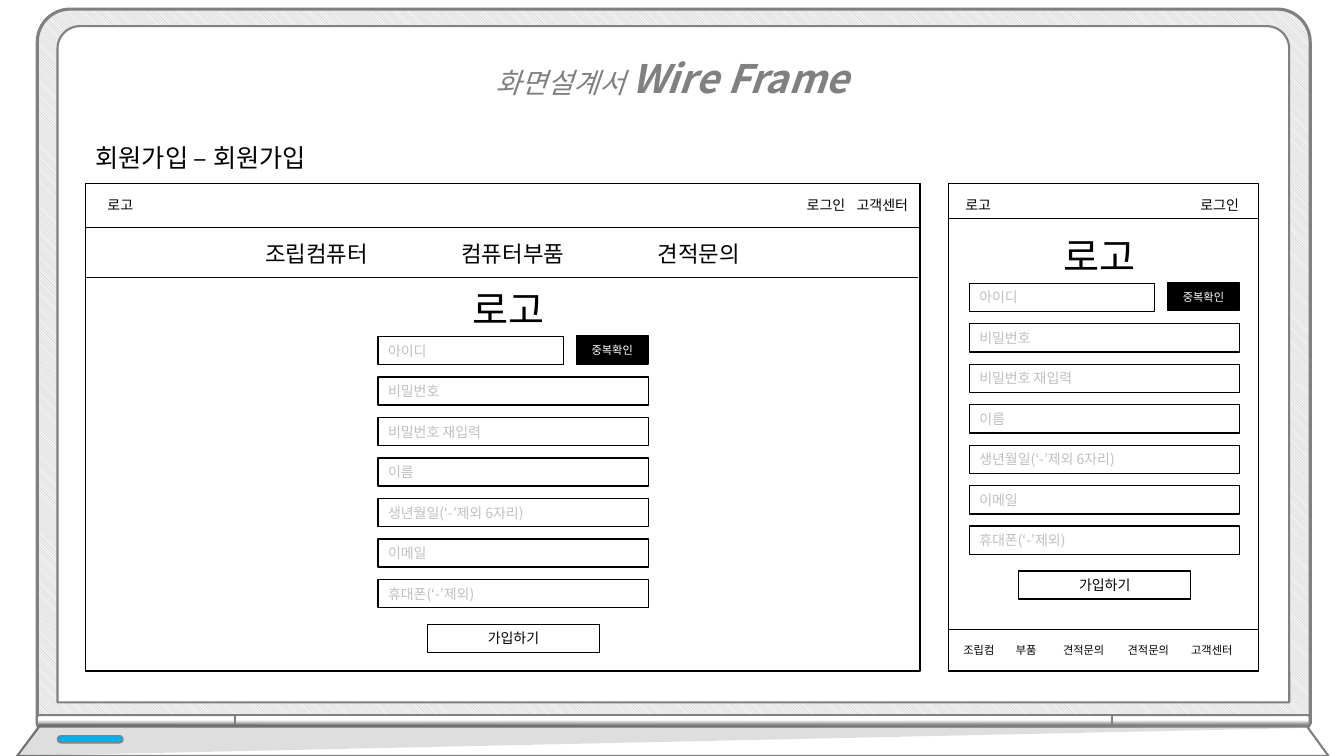
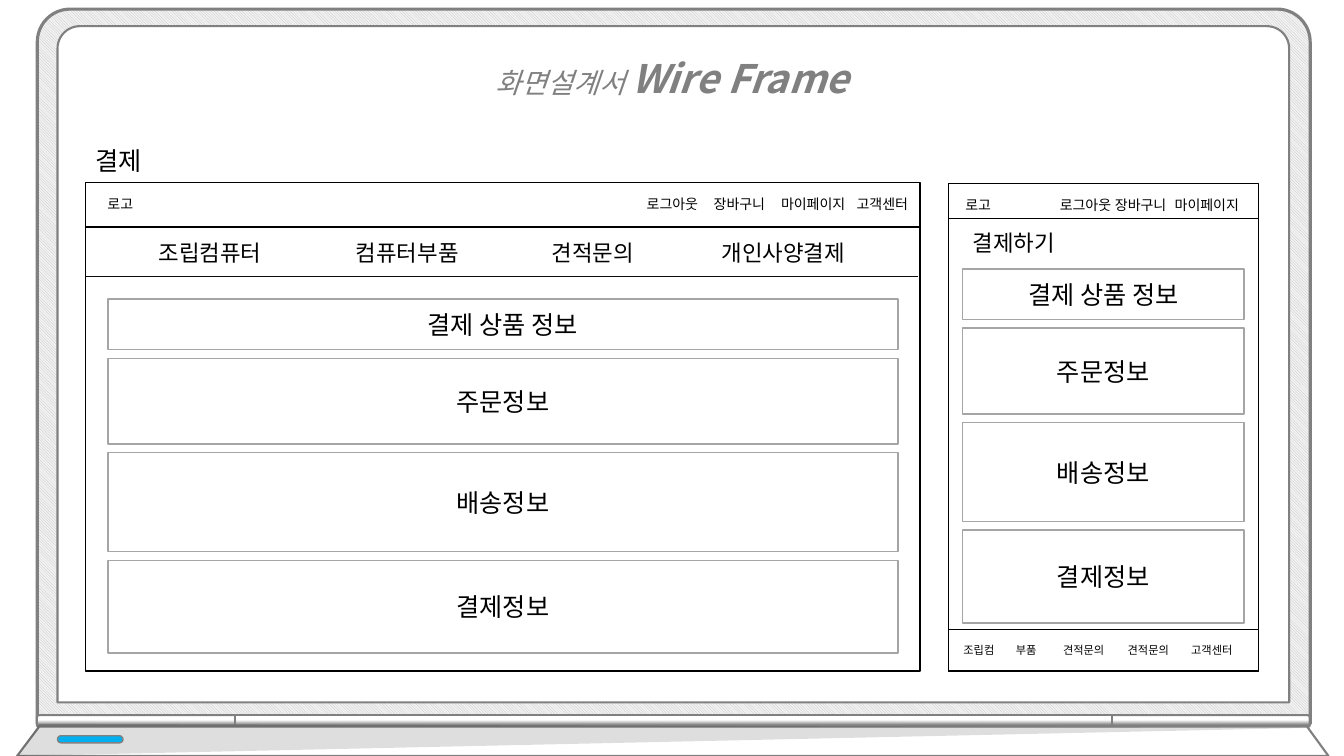
from lxml.etree import SubElement
from pptx import Presentation
from pptx.dml.color import RGBColor
from pptx.enum.dml import MSO_PATTERN
from pptx.enum.shapes import MSO_CONNECTOR, MSO_SHAPE
from pptx.enum.text import MSO_ANCHOR, MSO_AUTO_SIZE, PP_ALIGN
from pptx.oxml.ns import qn
from pptx.util import Cm, Pt

FONT = "Noto Sans CJK KR"
HUES = {
    "ink": "000000",
    "rule": "0D0D0D",
    "edge": "808080",
    "card": "A5A5A5",
    "hint": "BFBFBF",
    "pale": "F2F2F2",
    "white": "FFFFFF",
    "lamp": "00B0F0",
}
LEFT, MID, RIGHT = PP_ALIGN.LEFT, PP_ALIGN.CENTER, PP_ALIGN.RIGHT
ROUND = MSO_SHAPE.ROUND_2_SAME_RECTANGLE
FIELDS = ["아이디", "비밀번호", "비밀번호 재입력", "이름",
          "생년월일(‘-’제외 6자리)", "이메일", "휴대폰(‘-’제외)"]
CARDS = [("결제 상품 정보", 1.27), ("주문정보", 2.16),
         ("배송정보", 2.49), ("결제정보", 2.34)]
FOOT = [("조립컴", 24.03), ("부품", 25.35), ("견적문의", 26.54),
        ("견적문의", 28.17), ("고객센터", 29.77)]


def hue(name):
    return RGBColor.from_string(HUES[name])


class Deck:
    def __init__(self):
        self.prs = Presentation()
        self.prs.slide_width = Cm(33.87)
        self.prs.slide_height = Cm(19.05)
        self.slide = None

    def start(self, name, top):
        self.slide = self.prs.slides.add_slide(self.prs.slide_layouts[5])
        self.laptop()
        self.title()
        self.text(name, 2.16, top, 21.03, 1.02, 18)

    def run(self, para, text, size, tone="ink", bold=False, slant=False):
        run = para.add_run()
        run.text = text
        font = run.font
        font.size, font.bold, font.italic = Pt(size), bold, slant
        font.color.rgb = hue(tone)
        font.name = FONT
        SubElement(font._element, qn("a:ea")).set("typeface", FONT)

    def paint(self, shape, fill="white", line="ink", width=1):
        shape.shadow.inherit = False
        if fill:
            shape.fill.solid()
            shape.fill.fore_color.rgb = hue(fill)
        if line:
            shape.line.color.rgb = hue(line)
            shape.line.width = Pt(width)
        else:
            shape.line.fill.background()

    def form(self, kind, x, y, w, h, bends=(), **look):
        shape = self.slide.shapes.add_shape(kind, Cm(x), Cm(y), Cm(w), Cm(h))
        for i, bend in enumerate(bends):
            shape.adjustments[i] = bend
        self.paint(shape, **look)
        return shape

    def box(self, x, y, w, h, text="", size=10, tone="ink", align=MID, **look):
        shape = self.form(MSO_SHAPE.RECTANGLE, x, y, w, h, **look)
        if text:
            frame = shape.text_frame
            frame.word_wrap = True
            frame.vertical_anchor = MSO_ANCHOR.MIDDLE
            frame.paragraphs[0].alignment = align
            self.run(frame.paragraphs[0], text, size, tone)

    def text(self, text, x, y, w, h, size, align=LEFT):
        area = self.slide.shapes.add_textbox(Cm(x), Cm(y), Cm(w), Cm(h))
        frame = area.text_frame
        frame.word_wrap = True
        frame.auto_size = MSO_AUTO_SIZE.SHAPE_TO_FIT_TEXT
        frame.paragraphs[0].alignment = align
        self.run(frame.paragraphs[0], text, size)

    def rule(self, x, y, end, tone):
        line = self.slide.shapes.add_connector(
            MSO_CONNECTOR.STRAIGHT, Cm(x), Cm(y), Cm(end), Cm(y))
        line.line.color.rgb = hue(tone)
        line.line.width = Pt(0.5)
        SubElement(line._element.spPr, qn("a:effectLst"))

    def shard(self, spots, **look):
        first, *rest = [(Cm(x), Cm(y)) for x, y in spots]
        pen = self.slide.shapes.build_freeform(*first)
        pen.add_line_segments(rest, close=True)
        shape = pen.convert_to_shape()
        self.paint(shape, **look)
        return shape

    def hinge(self, x, span, turn, bend):
        shape = self.form(ROUND, x - 0.15, 18.17 - span / 2, 0.3, span,
                          (bend, 0), fill=None, line="edge", width=1.5)
        shape.rotation = turn
        if turn == 90:
            shape._element.spPr.xfrm.set("flipH", "1")
        shape.fill.gradient()
        shape.fill.gradient_angle = 0
        stops = zip(shape.fill.gradient_stops, (0.17, 0.59), ("edge", "white"))
        for stop, place, tone in stops:
            stop.position = place
            stop.color.rgb = hue(tone)

    def laptop(self):
        lid = self.form(ROUND, 0.94, 0.23, 32.08, 18.01, (0.046, 0),
                        fill=None, line="edge", width=2.25)
        lid.fill.patterned()
        lid.fill.pattern = MSO_PATTERN.LIGHT_DOWNWARD_DIAGONAL
        lid.fill.fore_color.rgb = hue("hint")
        lid.fill.back_color.rgb = hue("pale")
        self.form(ROUND, 1.45, 0.66, 31.04, 17.04, (0.033, 0),
                  line="edge", width=1.5)
        self.hinge(3.43, 5, 270, 0.193)
        self.hinge(30.51, 5, 90, 0.193)
        self.hinge(16.97, 22.1, 270, 0)
        self.shard([(0.99, 18.31), (32.94, 18.31), (33.48, 19.05),
                    (0.43, 19.05)], line="edge", width=1.5)
        shade = self.shard([(0.99, 18.24), (0.43, 19.05), (33.07, 18.34)],
                           fill="ink", line=None)
        tint = shade._element.spPr.find(qn("a:solidFill"))[0]
        SubElement(tint, qn("a:alpha")).set("val", "13000")
        self.form(MSO_SHAPE.ROUNDED_RECTANGLE, 1.45, 18.54, 1.65, 0.18,
                  (0.5,), fill="lamp", line="edge")

    def title(self):
        title = self.slide.shapes.title
        title.left, title.top = Cm(9.32), Cm(0.64)
        title.width, title.height = Cm(15.24), Cm(2.06)
        frame = title.text_frame
        frame.word_wrap = True
        frame.auto_size = MSO_AUTO_SIZE.SHAPE_TO_FIT_TEXT
        frame.vertical_anchor = MSO_ANCHOR.TOP
        para = frame.paragraphs[0]
        para.alignment = MID
        para.line_spacing = 1.5
        self.run(para, "화면설계서 ", 20, "edge", slant=True)
        self.run(para, "Wire Frame", 28, "edge", bold=True, slant=True)
        title._element.getparent().append(title._element)

    def links(self, items, top):
        for text, right in items:
            self.text(text, right - 2.2, top, 2.2, 0.69, 10, RIGHT)

    def desktop(self, top, links, menu):
        self.box(2.16, 4.62, 21.03, 12.29)
        self.box(2.16, top, 21.03, 1.12)
        self.text("로고", 2.46, top + 0.21, 6.12, 0.69, 10)
        self.links(links, top + 0.21)
        self.rule(2.16, top + 2.37, 23.14, "rule")
        for text, x in menu:
            self.text(text, x, top + 1.3, 4, 0.94, 16)

    def phone(self, links):
        self.box(23.9, 4.62, 7.82, 12.29)
        self.text("로고", 24.08, 4.83, 1.32, 0.69, 10)
        self.links(links, 4.83)
        self.rule(23.9, 5.51, 31.7, "ink")
        self.box(23.9, 15.86, 7.82, 1.05)
        for text, x in FOOT:
            self.text(text, x, 16.08, 1.7, 0.61, 8)

    def signup(self, x, y):
        self.text("로고", x + 2.13, y - 1.42, 2.57, 1.45, 28)
        for i, name in enumerate(FIELDS):
            self.box(x, y + i * 1.02, 6.81 if i else 4.67, 0.71,
                     name, tone="hint", align=LEFT)
        self.box(x + 5, y - 0.02, 1.8, 0.71, "중복확인", 8, "white", fill="ink")
        self.box(x + 1.24, y + 7.25, 4.34, 0.71, "가입하기")

    def cards(self, x, y, w):
        for name, h in CARDS:
            self.box(x, y, w, h, name, 18, line="card")
            y += h + 0.22


def main():
    deck = Deck()

    deck.start("회원가입 – 회원가입", 3.45)
    deck.desktop(4.62, [("로그인", 21.55), ("고객센터", 23.13)],
                 [("조립컴퓨터", 6.43), ("컴퓨터부품", 11.38),
                  ("견적문의", 16.33)])
    deck.signup(9.53, 8.48)
    deck.phone([("로그인", 31.47)])
    deck.signup(24.43, 7.14)

    deck.start("결제", 3.53)
    deck.desktop(4.6, [("로그아웃", 17.84), ("장바구니", 19.53),
                       ("마이페이지", 21.55), ("고객센터", 23.13)],
                 [("조립컴퓨터", 3.75), ("컴퓨터부품", 8.72),
                  ("견적문의", 13.66), ("개인사양결제", 17.94)])
    deck.cards(2.72, 7.54, 19.91)
    deck.phone([("로그아웃", 28.25), ("장바구니", 29.64),
                ("마이페이지", 31.47)])
    deck.text("결제하기", 24.26, 5.65, 2.95, 0.94, 16)
    deck.cards(24.26, 6.78, 7.09)

    deck.prs.save("out.pptx")


if __name__ == "__main__":
    main()
